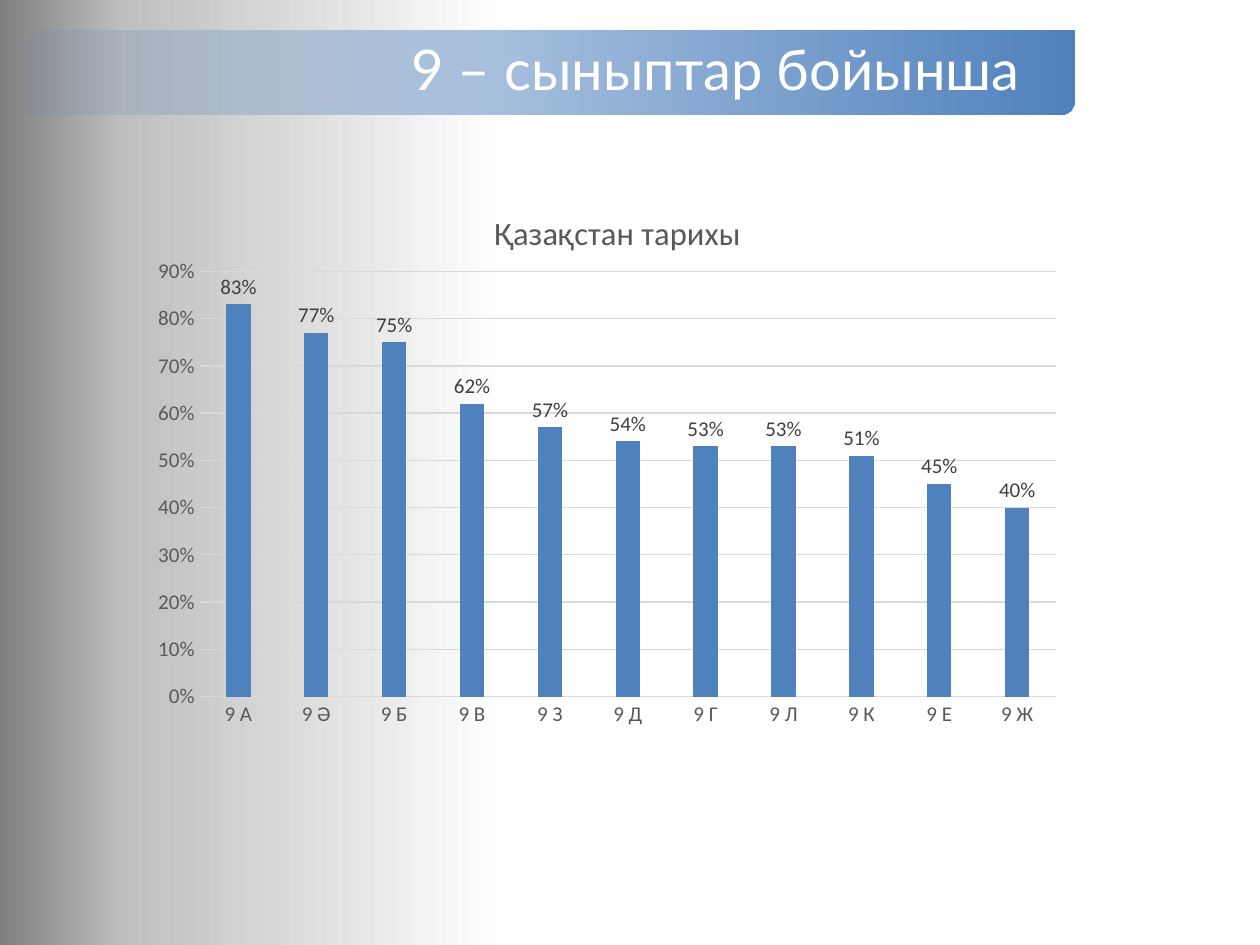
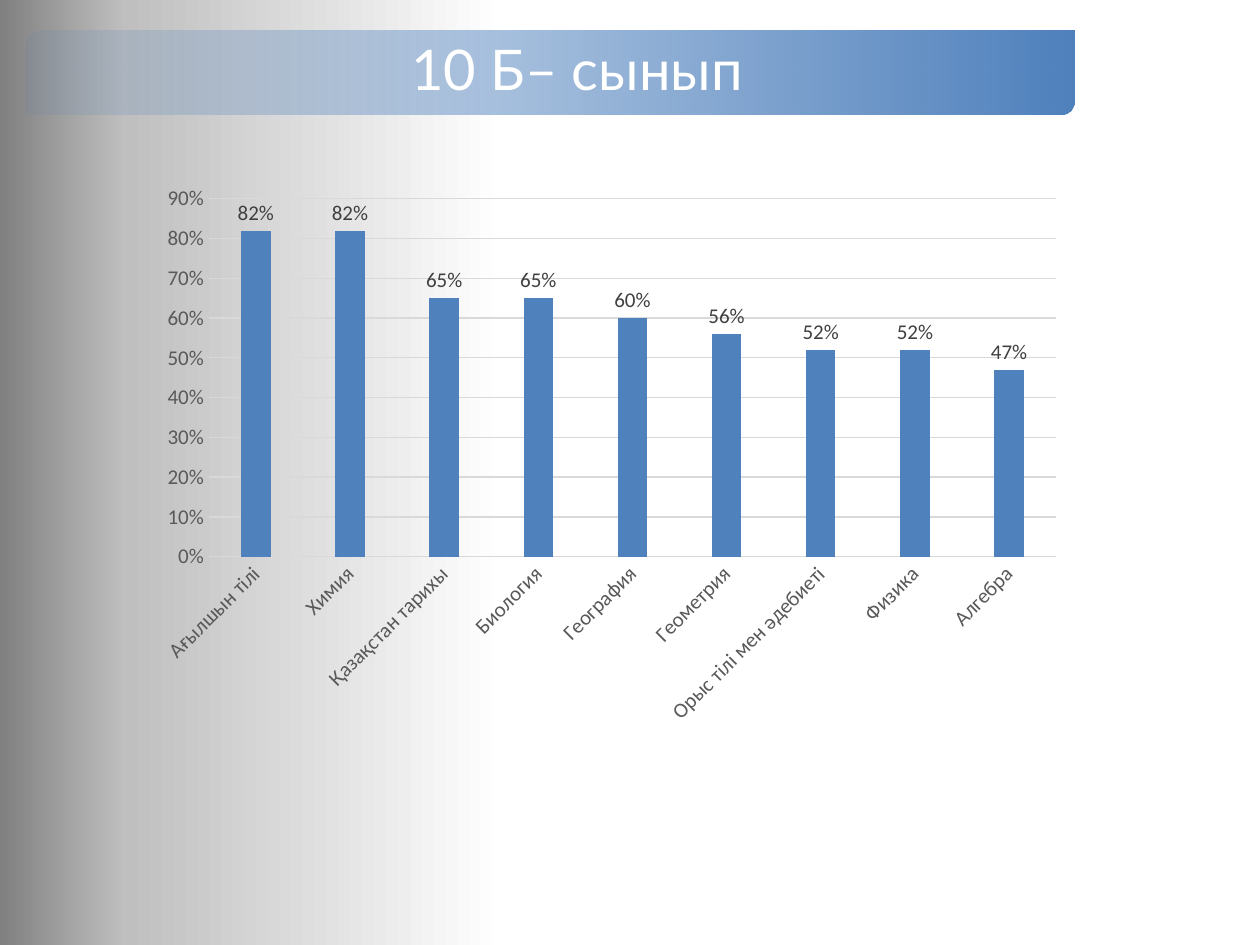
from dataclasses import dataclass

from lxml.etree import SubElement
from pptx import Presentation
from pptx.chart.data import CategoryChartData
from pptx.dml.color import RGBColor
from pptx.enum.chart import XL_CHART_TYPE, XL_LABEL_POSITION, XL_TICK_MARK
from pptx.enum.shapes import MSO_SHAPE
from pptx.enum.text import MSO_ANCHOR, PP_ALIGN
from pptx.oxml.ns import qn
from pptx.util import Inches, Pt


@dataclass(frozen=True)
class Theme:
    """Colours, fonts and type sizes that both slides share."""

    blue: str = "4F81BD"
    white: str = "FFFFFF"
    axis_text: str = "595959"
    label_text: str = "404040"
    grid: str = "D9D9D9"
    backdrop: tuple = ((60, "FFFFFF", 100), (90, "BFBFBF", 100), (100, "808080", 100))
    band: tuple = ((0, "4F81BD", 10), (100, "4F81BD", 100))
    title_font: str = "Lato"
    chart_font: str = "Calibri"
    title_size: float = 32
    chart_title_size: float = 18.6
    chart_size: float = 12


THEME = Theme()
BAND_BOX = [Inches(length) for length in (0.2, 0.24, 8.33, 0.67)]
CHART_BOX = [Inches(length) for length in (1.14, 1.4, 7.39, 4.44)]

HISTORY_BY_CLASS = {
    "9 А": 0.83, "9 Ә": 0.77, "9 Б": 0.75, "9 В": 0.62, "9 З": 0.57, "9 Д": 0.54,
    "9 Г": 0.53, "9 Л": 0.53, "9 К": 0.51, "9 Е": 0.45, "9 Ж": 0.4,
}
SUBJECTS_OF_10B = {
    "Ағылшын тілі": 0.82, "Химия": 0.82, "Қазақстан тарихы": 0.65,
    "Биология": 0.65, "География": 0.6, "Геометрия": 0.56,
    "Орыс тілі мен әдебиеті": 0.52, "Физика": 0.52, "Алгебра": 0.47,
}


def style_font(font, name, size, color):
    """Set the typeface, size and colour of a font."""
    font.name = name
    font.size = Pt(size)
    font.bold = False
    font.color.rgb = RGBColor.from_string(color)


def paint_gradient(fill, element, stops, angle):
    """Fill with a linear gradient of (position, colour, opacity) percentages."""
    fill.gradient()
    fill.gradient_angle = angle
    stop_list = next(element.iter(qn("a:gsLst")))
    for stop in list(stop_list):
        stop_list.remove(stop)
    for position, color, opacity in stops:
        stop = SubElement(stop_list, qn("a:gs"), pos=str(position * 1000))
        paint = SubElement(stop, qn("a:srgbClr"), val=color)
        if opacity < 100:
            SubElement(paint, qn("a:alpha"), val=str(opacity * 1000))


def place_part(parent, index, **shares):
    """Fix the place of a chart part in shares of the chart's size."""
    for layout in parent.findall(qn("c:layout")):
        parent.remove(layout)
    layout = SubElement(parent, qn("c:layout"))
    parent.insert(index, layout)
    manual = SubElement(layout, qn("c:manualLayout"))
    if "w" in shares:
        SubElement(manual, qn("c:layoutTarget"), val="inner")
    for side in ("x", "y"):
        SubElement(manual, qn(f"c:{side}Mode"), val="edge")
    for side, share in shares.items():
        SubElement(manual, qn(f"c:{side}"), val=str(share))


def add_title_band(slide, title):
    """Add the fading title band with two rounded corners."""
    band = slide.shapes.add_shape(MSO_SHAPE.ROUND_2_DIAG_RECTANGLE, *BAND_BOX)
    band.shadow.inherit = False
    band.line.fill.background()
    paint_gradient(band.fill, band.element, THEME.band, 0)
    text_frame = band.text_frame
    text_frame.word_wrap = True
    text_frame.vertical_anchor = MSO_ANCHOR.MIDDLE
    text_frame.margin_left = Inches(3.03)
    text_frame.margin_top = text_frame.margin_right = text_frame.margin_bottom = Inches(0.17)
    text_frame.text = title
    paragraph = text_frame.paragraphs[0]
    paragraph.alignment = PP_ALIGN.LEFT
    paragraph.line_spacing = 0.9
    style_font(paragraph.runs[0].font, THEME.title_font, THEME.title_size, THEME.white)


def style_axes(chart, label_angle):
    """Style both axes and the grid, turning category labels by label_angle degrees."""
    for axis in (chart.category_axis, chart.value_axis):
        axis.major_tick_mark = axis.minor_tick_mark = XL_TICK_MARK.NONE
        style_font(axis.tick_labels.font, THEME.chart_font, THEME.chart_size, THEME.axis_text)
    values = chart.value_axis
    values.minimum_scale, values.maximum_scale, values.major_unit = 0, 0.9, 0.1
    values.tick_labels.number_format = "0%"
    values.tick_labels.number_format_is_linked = False
    values.format.line.fill.background()
    for line in (chart.category_axis.format.line, values.major_gridlines.format.line):
        line.color.rgb = RGBColor.from_string(THEME.grid)
        line.width = Pt(0.75)
    if label_angle:
        body = next(chart.category_axis.tick_labels.font and
                    chart.element.iter(qn("c:catAx"))).find(f"{qn('c:txPr')}/{qn('a:bodyPr')}")
        body.set("rot", str(label_angle * 60000))


def style_columns(chart):
    """Colour the columns and label each with its value."""
    plot = chart.plots[0]
    plot.gap_width, plot.overlap, plot.vary_by_categories = 219, -27, False
    fill = plot.series[0].format.fill
    fill.solid()
    fill.fore_color.rgb = RGBColor.from_string(THEME.blue)
    plot.has_data_labels = True
    labels = plot.data_labels
    labels.show_value = True
    labels.number_format = "0%"
    labels.number_format_is_linked = False
    labels.position = XL_LABEL_POSITION.OUTSIDE_END
    style_font(labels.font, THEME.chart_font, THEME.chart_size, THEME.label_text)


def add_chart_title(chart, title):
    """Add a heading above the columns."""
    text_frame = chart.chart_title.text_frame
    text_frame.text = title
    style_font(text_frame.paragraphs[0].runs[0].font,
               THEME.chart_font, THEME.chart_title_size, THEME.axis_text)
    chart.chart_title.include_in_layout = False
    place_part(next(chart.element.iter(qn("c:title"))), 1, x=0.37, y=0.05)


def add_column_chart(slide, scores, plot_shares, title=None, label_angle=0):
    """Add a column chart of scores by category."""
    data = CategoryChartData(number_format="0%")
    data.categories = list(scores)
    data.add_series("Series 1", list(scores.values()))
    chart = slide.shapes.add_chart(XL_CHART_TYPE.COLUMN_CLUSTERED, *CHART_BOX, data).chart
    chart.font.name = THEME.chart_font
    chart.font.size = Pt(10)
    chart.has_legend = False
    chart.has_title = title is not None
    if title:
        add_chart_title(chart, title)
    style_axes(chart, label_angle)
    style_columns(chart)
    place_part(next(chart.element.iter(qn("c:plotArea"))), 0, **plot_shares)


def add_score_slide(presentation, heading, scores, plot_shares, **chart_options):
    """Add a slide with a title band and a column chart."""
    slide = presentation.slides.add_slide(presentation.slide_layouts[6])
    add_title_band(slide, heading)
    add_column_chart(slide, scores, plot_shares, **chart_options)


def main():
    """Build and save the presentation."""
    presentation = Presentation()
    presentation.slide_width, presentation.slide_height = Inches(10), Inches(7.5)
    master = presentation.slide_master
    paint_gradient(master.background.fill, master.element, THEME.backdrop, 180)
    add_score_slide(presentation, "9 – сыныптар бойынша", HISTORY_BY_CLASS,
                    {"x": 0.06, "y": 0.17, "w": 0.92, "h": 0.76}, title="Қазақстан тарихы")
    add_score_slide(presentation, "10 Б– сынып", SUBJECTS_OF_10B,
                    {"x": 0.07, "y": 0.04, "w": 0.91, "h": 0.64}, label_angle=-45)
    presentation.save("out.pptx")


if __name__ == "__main__":
    main()
